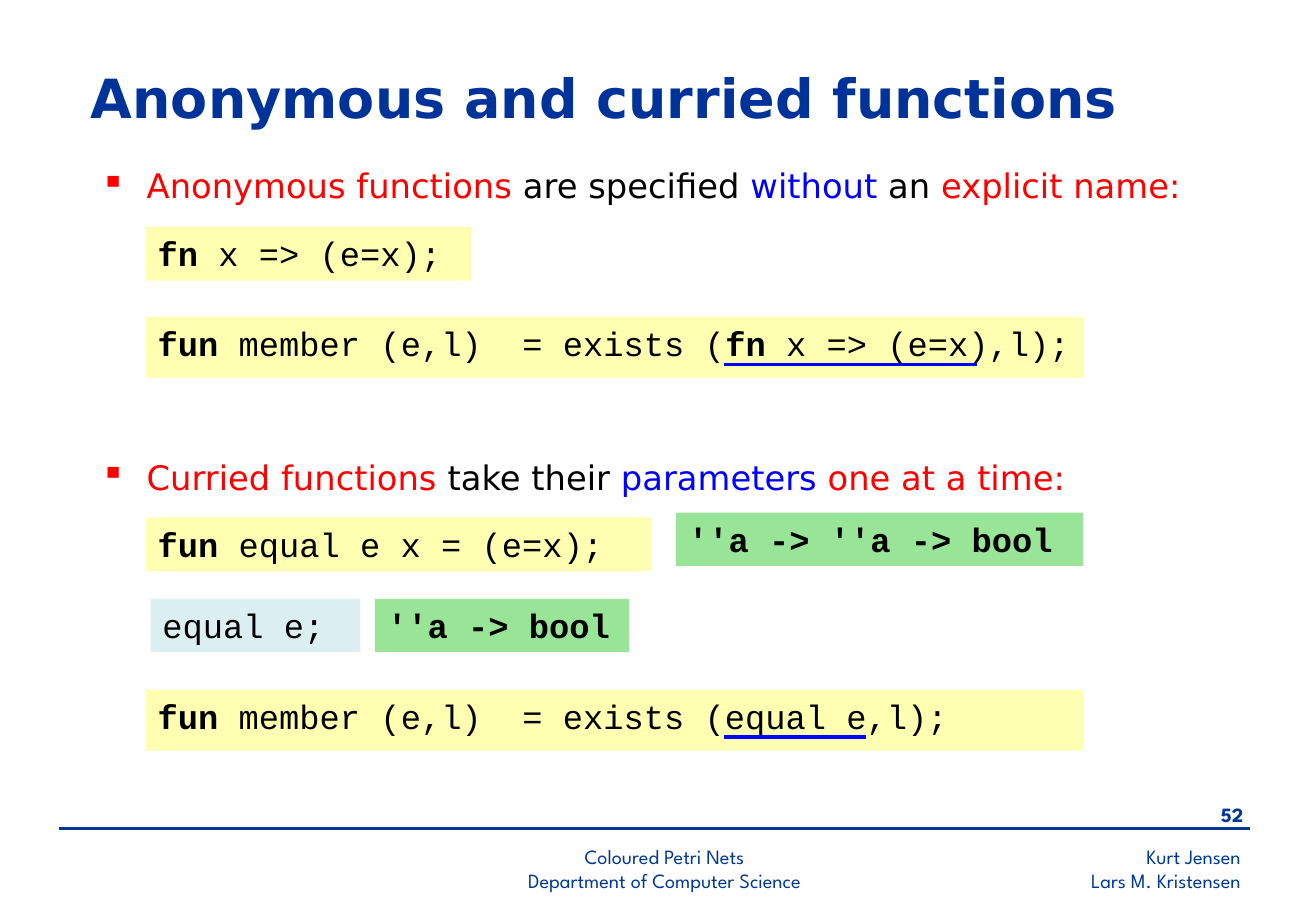
"""Builds a slide on anonymous and curried functions in Standard ML."""
from lxml import etree
from pptx import Presentation, util as u
from pptx.dml.color import RGBColor
from pptx.enum import shapes, text
from pptx.oxml.ns import qn

COLORS = {"navy": "003893", "title": "003399", "red": "FF0000", "blue": "0000FF",
          "black": "000000", "yellow": "FFFF66", "green": "33CC33", "teal": "BBE0E3"}
CELL = u.Inches(0.1)
CHAR = 5 / 3
CODE_COL, CODE_ROW_HEIGHT = 12, 4.4
ALIGN = text.PP_ALIGN

deck = Presentation()
deck.slide_width, deck.slide_height = u.Inches(10.84), u.Inches(7.5)
slide = deck.slides.add_slide(deck.slide_layouts[6])


def write(shape, lines, font, size, align=ALIGN.LEFT, anchor=text.MSO_ANCHOR.TOP, bullet=False):
    frame = shape.text_frame
    frame.word_wrap = True
    frame.vertical_anchor = anchor
    for index, line in enumerate(lines):
        paragraph = frame.add_paragraph() if index else frame.paragraphs[0]
        paragraph.alignment = align
        if bullet:
            layout = paragraph._p.get_or_add_pPr()
            layout.set("marL", str(u.Inches(0.38)))
            layout.set("indent", str(-u.Inches(0.38)))
            tint = etree.SubElement(layout, qn("a:buClr"))
            etree.SubElement(tint, qn("a:srgbClr")).set("val", COLORS["red"])
            etree.SubElement(layout, qn("a:buChar")).set("char", "▪")
        for words, color, bold in line:
            run = paragraph.add_run()
            run.text = words
            run.font.name, run.font.size, run.font.bold = font, u.Pt(size), bold
            run.font.color.rgb = RGBColor.from_string(COLORS[color])


def rule(left, row, width, color, weight):
    line = slide.shapes.add_connector(shapes.MSO_CONNECTOR.STRAIGHT, round(left * CELL), round(row * CELL),
                                      round((left + width) * CELL), round(row * CELL))
    line.line.color.rgb = RGBColor.from_string(COLORS[color])
    line.line.width = u.Pt(weight)
    etree.SubElement(line._element.spPr, qn("a:effectLst"))


footers = [
    (69.5, 69, 33.7, 5, ["Kurt Jensen", "Lars M. Kristensen"], ALIGN.RIGHT, False),
    (96.3, 65.6, 7.1, 3.3, ["52"], ALIGN.RIGHT, True),
    (34.1, 69, 41.3, 4.7, ["Coloured Petri Nets", "Department of Computer Science"], ALIGN.CENTER, False),
]
for col, row, width, height, lines, align, bold in footers:
    footer = slide.shapes.add_textbox(*(round(n * CELL) for n in (col, row, width, height)))
    write(footer, [[(line, "navy", bold)] for line in lines], "League Spartan", 12, align)
rule(4.9, 68.2, 98.1, "navy", 1.5)

title = slide.shapes.add_textbox(*(round(n * CELL) for n in (6.5, 4.5, 92.1, 6.9)))
write(title, [[("Anonymous and curried functions", "title", True)]], "DejaVu Sans", 32,
      anchor=text.MSO_ANCHOR.MIDDLE)

statements = [
    (13.1, 5.3, [("Anonymous functions", "red"), (" are specified ", "black"), ("without", "blue"),
                 (" an ", "black"), ("explicit name:", "red")]),
    (37.1, 8.7, [("Curried functions", "red"), (" take their ", "black"), ("parameters ", "blue"),
                 ("one at a time:", "red")]),
]
for row, height, parts in statements:
    statement = slide.shapes.add_textbox(*(round(n * CELL) for n in (7.3, row, 94.9, height)))
    write(statement, [[(words, color, False) for words, color in parts]], "DejaVu Sans", 20, bullet=True)

snippets = [
    (CODE_COL, 18.7, 26.8, "yellow", 0, [("fn", True), (" x => (e=x);", False)]),
    (CODE_COL, 26.1, 77.2, "yellow", 0.6, [("fun", True), (" member (e,l)  = exists (", False),
                                           ("fn", True), (" x => (e=x),l);", False)]),
    (CODE_COL, 42.6, 41.7, "yellow", 0, [("fun", True), (" equal e x = (e=x);", False)]),
    (55.7, 42.2, 33.5, "green", 0, [("''a -> ''a -> bool", True)]),
    (CODE_COL, 56.8, 77.2, "yellow", 0.6, [("fun", True), (" member (e,l)  = exists (equal e,l);", False)]),
    (12.4, 49.3, 17.3, "teal", 0, [("equal e;", False)]),
    (30.9, 49.3, 20.9, "green", 0, [("''a -> bool", True)]),
]
for col, row, width, color, underline_room, parts in snippets:
    snippet = slide.shapes.add_shape(
        shapes.MSO_SHAPE.RECTANGLE,
        *(round(n * CELL) for n in (col, row, width, CODE_ROW_HEIGHT + underline_room)))
    snippet.shadow.inherit = False
    snippet.line.fill.background()
    snippet.fill.solid()
    snippet.fill.fore_color.rgb = RGBColor.from_string(COLORS[color])
    tint = snippet._element.spPr.find(qn("a:solidFill"))[0]
    etree.SubElement(tint, qn("a:alpha")).set("val", "50000")
    snippet.text_frame.margin_bottom = round((0.5 + underline_room) * CELL)
    write(snippet, [[(words, "black", bold) for words, bold in parts]], "Courier New", 20)

argument_col = CODE_COL + 1 + 28 * CHAR
for row, characters in ((30, 12.5), (60.7, 7)):
    rule(argument_col, row, characters * CHAR, "blue", 2.25)

deck.save("out.pptx")
